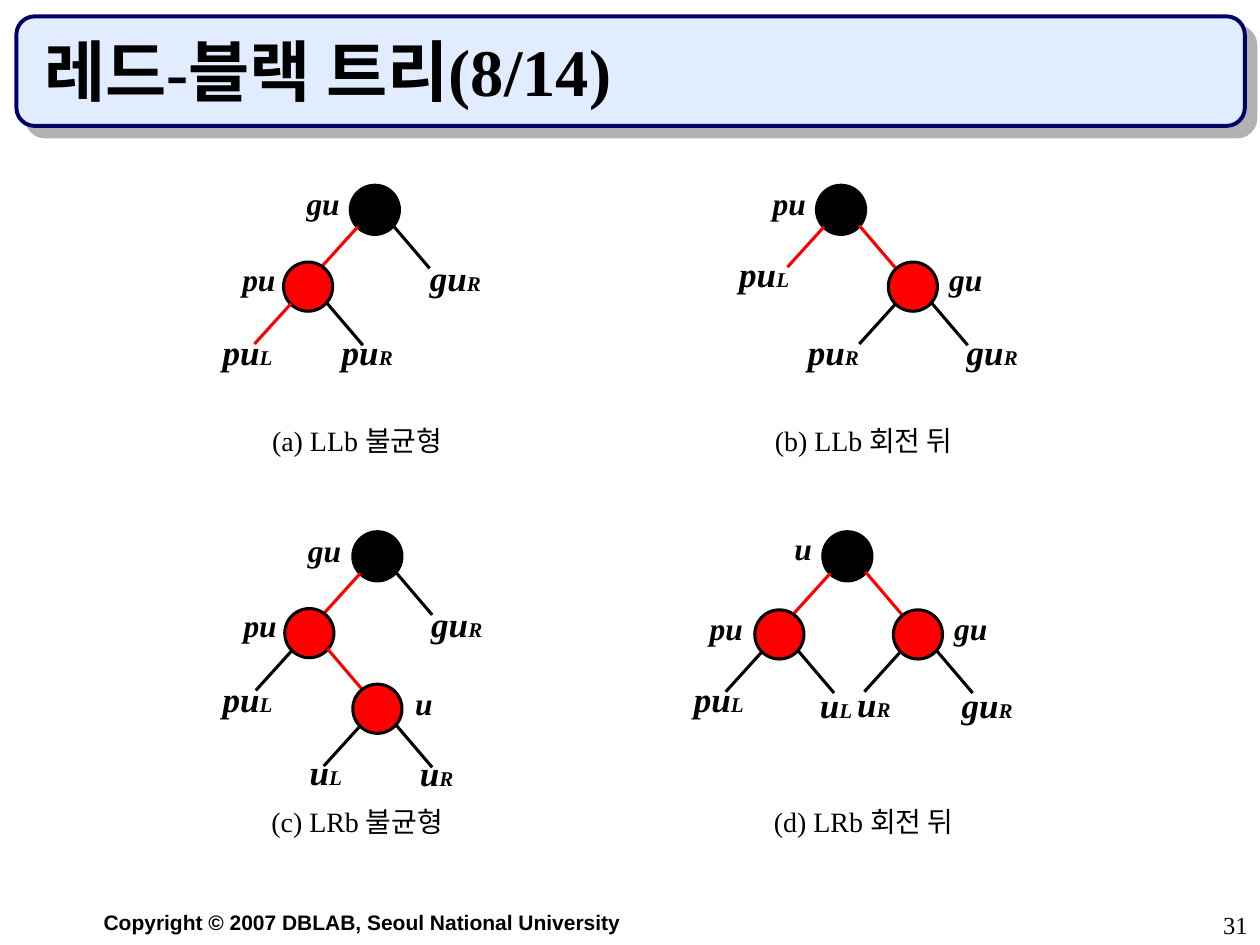
from lxml import etree
from pptx import Presentation
from pptx.dml.color import RGBColor
from pptx.enum.shapes import MSO_CONNECTOR, MSO_SHAPE
from pptx.enum.text import MSO_ANCHOR, MSO_AUTO_SIZE, PP_ALIGN
from pptx.oxml import parse_xml
from pptx.oxml.ns import nsdecls, qn
from pptx.util import Inches, Pt

TITLE = "레드-블랙 트리(8/14)"
COPYRIGHT = "Copyright © 2007 DBLAB, Seoul National University"
PAGE = "31"

# node: left, top, fill, left edge, right edge, name, name left, name top
# leaf: name, subscript, left, top
TREES = [
    {
        "caption": ("(a) LLb 불균형", 1.85, 3.36),
        "nodes": [
            (2.78, 1.47, "black", "red", "black", "gu", 2.33, 1.47),
            (2.25, 2.08, "red", "red", "black", "pu", 1.82, 2.07),
        ],
        "leaves": [("pu", "L", 1.61, 2.64), ("pu", "R", 2.56, 2.64),
                   ("gu", "R", 3.26, 2.05)],
    },
    {
        "caption": ("(b) LLb 회전 뒤", 5.87, 3.36),
        "nodes": [
            (6.48, 1.47, "black", "red", "red", "pu", 6.03, 1.47),
            (7.05, 2.08, "red", "black", "black", "gu", 7.43, 2.07),
        ],
        "leaves": [("pu", "L", 5.71, 2.02), ("pu", "R", 6.26, 2.64),
                   ("gu", "R", 7.52, 2.64)],
    },
    {
        "caption": ("(c) LRb 불균형", 1.85, 6.39),
        "nodes": [
            (2.8, 4.22, "black", "red", "black", "gu", 2.34, 4.22),
            (2.26, 4.83, "red", "black", "red", "pu", 1.83, 4.82),
            (2.8, 5.43, "red", "black", "black", "u", 3.13, 5.44),
        ],
        "leaves": [("pu", "L", 1.61, 5.39), ("gu", "R", 3.27, 4.8),
                   ("u", "L", 2.31, 5.97), ("u", "R", 3.19, 5.98)],
    },
    {
        "caption": ("(d) LRb 회전 뒤", 5.87, 6.39),
        "nodes": [
            (6.53, 4.22, "black", "red", "red", "u", 6.14, 4.21),
            (5.99, 4.84, "red", "black", "black", "pu", 5.53, 4.84),
            (7.09, 4.84, "red", "black", "black", "gu", 7.47, 4.84),
        ],
        "leaves": [("pu", "L", 5.35, 5.39), ("u", "L", 6.36, 5.44),
                   ("u", "R", 6.66, 5.43), ("gu", "R", 7.48, 5.44)],
    },
]

THEME = {
    "black": RGBColor(0, 0, 0),
    "red": RGBColor(0xFF, 0, 0),
    "banner": RGBColor(0xE1, 0xEC, 0xFF),
    "navy": RGBColor(0, 0, 0x66),
    "shadow": "B2B2B2",
    "serif": "Times New Roman",
    "sans": "Arial",
    "title": 38, "name": 18, "leaf": 20, "subscript": 12,
    "caption": 16, "copyright": 12, "page": 14,
    "stroke": Pt(1.75),
}
NODE_SIZE = 0.39
LEFT_EDGE = (0.06, 0.33, -0.29, 0.32)
RIGHT_EDGE = (0.34, 0.32, 0.29, 0.34)
LEAF_WIDTHS = {1: 0.55, 2: 0.71}


def style_run(r, size, font="serif", bold=False, italic=False):
    r.font.size = Pt(THEME[size])
    r.font.name = THEME[font]
    r.font.bold = bold
    r.font.italic = italic
    r.font.color.rgb = THEME["black"]


def add_text(s, runs, x, y, w, h, align=PP_ALIGN.CENTER, spacing=0.8,
             wrap=False, **style):
    tf = s.shapes.add_textbox(Inches(x), Inches(y), Inches(w), Inches(h)).text_frame
    tf.word_wrap = wrap
    p = tf.paragraphs[0]
    p.alignment = align
    p.line_spacing = spacing
    for text, size in runs:
        r = p.add_run()
        r.text = text
        style_run(r, size, **style)


def add_edge(s, x, y, edge, color):
    dx, dy, run, rise = edge
    x, y = x + dx, y + dy
    line = s.shapes.add_connector(MSO_CONNECTOR.STRAIGHT, Inches(x), Inches(y),
                                  Inches(x + run), Inches(y + rise))
    line.line.color.rgb = THEME[color]
    line.line.width = THEME["stroke"]
    etree.SubElement(line._element.spPr, qn("a:effectLst"))


def add_node(s, x, y, fill, left, right, name, name_x, name_y):
    sp = s.shapes.add_shape(MSO_SHAPE.OVAL, Inches(x), Inches(y),
                            Inches(NODE_SIZE), Inches(NODE_SIZE))
    sp.shadow.inherit = False
    sp.fill.solid()
    sp.fill.fore_color.rgb = THEME[fill]
    sp.line.color.rgb = THEME["black"]
    sp.line.width = THEME["stroke"]
    add_edge(s, x, y, LEFT_EDGE, left)
    add_edge(s, x, y, RIGHT_EDGE, right)
    add_text(s, [(name, "name")], name_x, name_y, 0.47, 0.34,
             bold=True, italic=True)


def add_banner(s):
    sp = s.shapes.add_shape(MSO_SHAPE.ROUNDED_RECTANGLE, Inches(0.13), Inches(0.13),
                            Inches(9.75), Inches(0.87))
    sp.adjustments[0] = 0.167
    sp.fill.solid()
    sp.fill.fore_color.rgb = THEME["banner"]
    sp.line.color.rgb = THEME["navy"]
    sp.line.width = Pt(2.25)
    sp._element.spPr.append(parse_xml(
        f'<a:effectLst {nsdecls("a")}>'
        f'<a:outerShdw dist="{Pt(8.5)}" dir="2700000" algn="ctr" rotWithShape="0">'
        f'<a:srgbClr val="{THEME["shadow"]}"/></a:outerShdw></a:effectLst>'))


def add_title(s):
    sp = s.shapes.title
    sp.left, sp.top = Inches(0.25), Inches(0.25)
    sp.width, sp.height = Inches(9.42), Inches(0.67)
    tf = sp.text_frame
    tf.text = TITLE
    tf.auto_size = MSO_AUTO_SIZE.NONE
    tf.vertical_anchor = MSO_ANCHOR.BOTTOM
    p = tf.paragraphs[0]
    p.alignment = PP_ALIGN.LEFT
    style_run(p.runs[0], "title", bold=True)
    s.shapes._spTree.append(sp._element)


def main():
    prs = Presentation()
    prs.slide_width, prs.slide_height = Inches(10), Inches(7.5)
    s = prs.slides.add_slide(prs.slide_layouts[5])
    add_banner(s)
    add_title(s)
    for tree in TREES:
        for node in tree["nodes"]:
            add_node(s, *node)
        for name, subscript, x, y in tree["leaves"]:
            add_text(s, [(name, "leaf"), (subscript, "subscript")], x, y,
                     LEAF_WIDTHS[len(name)], 0.37, bold=True, italic=True)
        caption, x, y = tree["caption"]
        add_text(s, [(caption, "caption")], x, y, 1.97, 0.32)
    add_text(s, [(COPYRIGHT, "copyright")], 0.25, 7.17, 5.25, 0.3,
             spacing=1.0, wrap=True, font="sans", bold=True)
    add_text(s, [(PAGE, "page")], 7.92, 7.17, 2.08, 0.33,
             align=PP_ALIGN.RIGHT, spacing=1.0, wrap=True)
    prs.save("out.pptx")


if __name__ == "__main__":
    main()
